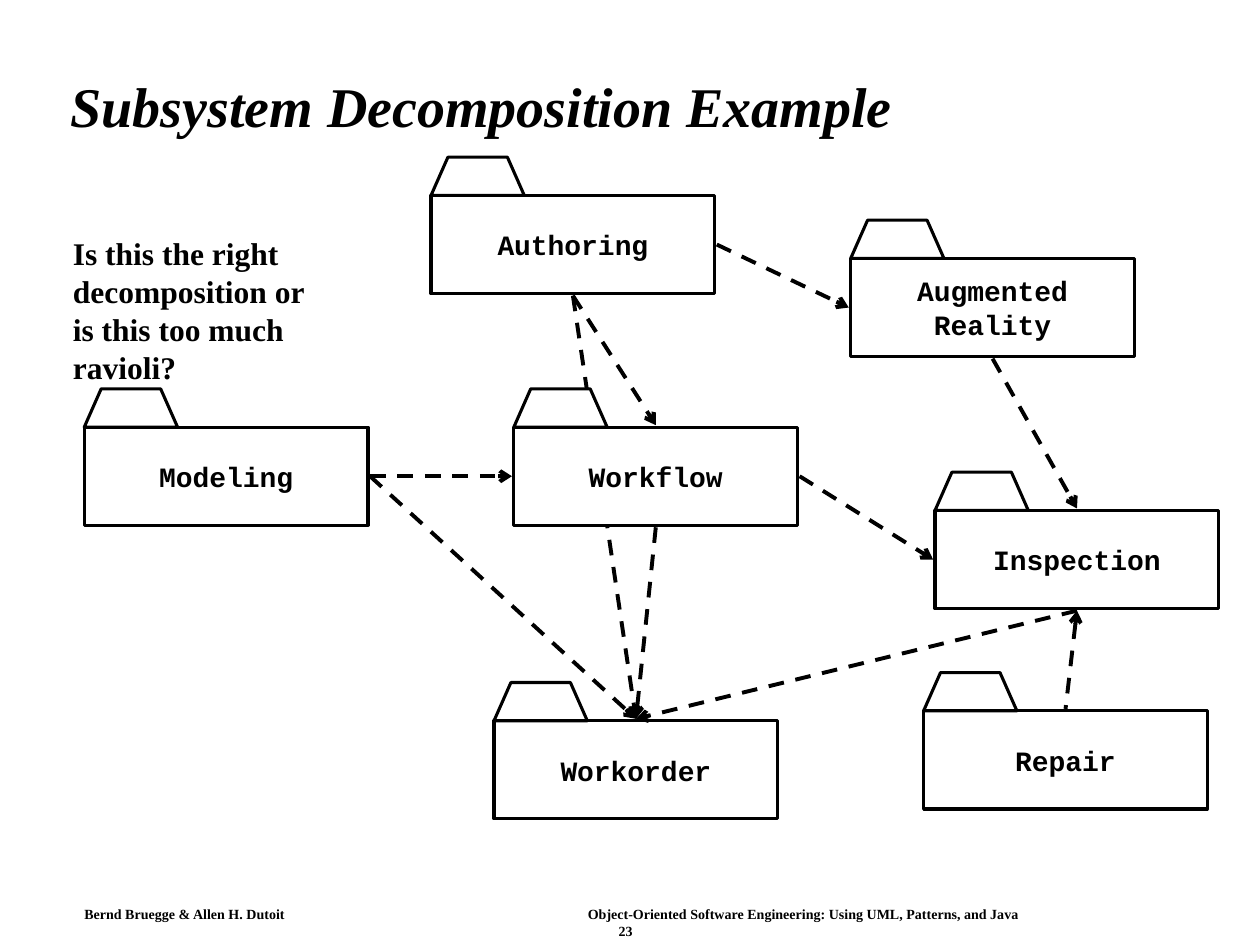
import lxml.etree
import pptx
import pptx.dml.color
import pptx.enum.dml
import pptx.enum.shapes
import pptx.enum.text
import pptx.oxml.ns
import pptx.util

Cm = pptx.util.Cm
Pt = pptx.util.Pt
qn = pptx.oxml.ns.qn
ALIGN = pptx.enum.text.PP_ALIGN
ANCHOR = pptx.enum.text.MSO_ANCHOR

COLORS = {"ink": "000000", "paper": "FFFFFF"}
SERIF, MONO = "Times New Roman", "Courier New"
PACKAGE_W, PACKAGE_H = 5.72, 1.98
TAB_W, TAB_H, TAB_SLOPE = 1.88, 0.77, 0.34
GAP = 0.04

PACKAGES = {
    "Modeling": (1.7, 8.61),
    "Authoring": (8.69, 3.94),
    "Workorder": (9.96, 14.53),
    "Repair": (18.62, 14.33),
    "Inspection": (18.85, 10.29),
    "Augmented\nReality": (17.15, 5.21),
    "Workflow": (10.36, 8.61),
}
DEPENDENCIES = [
    ("Authoring", "right", "Augmented\nReality", "left", "tailEnd"),
    ("Authoring", "bottom", "Workorder", "top", "tailEnd"),
    ("Workflow", "right", "Inspection", "left", "tailEnd"),
    ("Workflow", "bottom", "Workorder", "top", "tailEnd"),
    ("Authoring", "bottom", "Workflow", "top", "tailEnd"),
    ("Modeling", "right", "Workflow", "left", "tailEnd"),
    ("Modeling", "right", "Workorder", "top", "tailEnd"),
    ("Augmented\nReality", "bottom", "Inspection", "top", "tailEnd"),
    ("Inspection", "bottom", "Repair", "top", "headEnd"),
    ("Inspection", "bottom", "Workorder", "top", "tailEnd"),
]


def rgb(name):
    return pptx.dml.color.RGBColor.from_string(COLORS[name])


def style_text(tf, name, size, align=ALIGN.LEFT, italic=False):
    for p in tf.paragraphs:
        p.alignment = align
        p.font.name = name
        p.font.size = Pt(size)
        p.font.bold = True
        p.font.italic = italic
        p.font.color.rgb = rgb("ink")


def add_title(s, x, y, w, h):
    sp = s.shapes.title
    sp.left, sp.top, sp.width, sp.height = Cm(x), Cm(y), Cm(w), Cm(h)
    tf = sp.text_frame
    tf.text = "Subsystem Decomposition Example"
    tf.auto_size = pptx.enum.text.MSO_AUTO_SIZE.NONE
    tf.vertical_anchor = ANCHOR.MIDDLE
    tf.paragraphs[0].line_spacing = 0.9
    style_text(tf, SERIF, 32, italic=True)


def add_question(s, x, y, w, h):
    tf = s.shapes.add_textbox(Cm(x), Cm(y), Cm(w), Cm(h)).text_frame
    tf.text = "Is this the right\ndecomposition or\nis this too much ravioli?"
    style_text(tf, SERIF, 18)


def add_footer(s, x, y, w, h):
    tf = s.shapes.add_textbox(Cm(x), Cm(y), Cm(w), Cm(h)).text_frame
    tf.word_wrap = True
    tf.margin_left = tf.margin_right = Cm(0.2)
    tf.margin_top = tf.margin_bottom = Cm(0.1)
    tf.text = (
        "Bernd Bruegge & Allen H. Dutoit\t"
        "Object-Oriented Software Engineering: Using UML, Patterns, and Java\n\t23"
    )
    for p, stop in zip(tf.paragraphs, (10.15, 10.77)):
        tabs = lxml.etree.SubElement(p._p.get_or_add_pPr(), qn("a:tabLst"))
        lxml.etree.SubElement(tabs, qn("a:tab"), pos=str(Cm(stop)), algn="l")
    style_text(tf, SERIF, 8)


def anchor_point(name, side):
    x, y = PACKAGES[name]
    return {
        "left": (x - GAP, y + PACKAGE_H / 2),
        "right": (x + PACKAGE_W + GAP, y + PACKAGE_H / 2),
        "top": (x + PACKAGE_W / 2, y - GAP),
        "bottom": (x + PACKAGE_W / 2, y + PACKAGE_H + GAP),
    }[side]


def add_dependency(s, start, start_side, end, end_side, arrow_end):
    points = anchor_point(start, start_side) + anchor_point(end, end_side)
    cx = s.shapes.add_connector(
        pptx.enum.shapes.MSO_CONNECTOR.STRAIGHT, *(Cm(v) for v in points)
    )
    cx.line.color.rgb = rgb("ink")
    cx.line.width = Pt(2.25)
    cx.line.dash_style = pptx.enum.dml.MSO_LINE.DASH
    ln = cx.line._get_or_add_ln()
    lxml.etree.SubElement(ln, qn("a:" + arrow_end), type="arrow")
    lxml.etree.SubElement(cx._element.spPr, qn("a:effectLst"))


def add_package(s, name, x, y, w, h, filled):
    group = s.shapes.add_group_shape()
    body = group.shapes.add_shape(
        pptx.enum.shapes.MSO_SHAPE.RECTANGLE, Cm(x), Cm(y), Cm(w), Cm(h)
    )
    fb = group.shapes.build_freeform(Cm(x), Cm(y))
    fb.add_line_segments([
        (Cm(x + TAB_SLOPE), Cm(y - TAB_H)),
        (Cm(x + TAB_W - TAB_SLOPE), Cm(y - TAB_H)),
        (Cm(x + TAB_W), Cm(y)),
    ], close=True)
    for sp in (body, fb.convert_to_shape()):
        sp.shadow.inherit = False
        sp.line.color.rgb = rgb("ink")
        sp.line.width = Pt(1.75)
        if filled:
            sp.fill.solid()
            sp.fill.fore_color.rgb = rgb("paper")
        else:
            sp.fill.background()
    tf = body.text_frame
    tf.text = name
    tf.word_wrap = True
    tf.vertical_anchor = ANCHOR.MIDDLE
    style_text(tf, MONO, 16, ALIGN.CENTER)


def main():
    prs = pptx.Presentation()
    prs.slide_width, prs.slide_height = Cm(25.4), Cm(19.05)
    s = prs.slides.add_slide(prs.slide_layouts[5])
    add_footer(s, 1.5, 18.16, 21.97, 0.53)
    add_title(s, 1.17, 1.22, 23.39, 1.96)
    for dependency in DEPENDENCIES:
        add_dependency(s, *dependency)
    add_question(s, 1.22, 4.6, 6.99, 2.54)
    for name, (x, y) in PACKAGES.items():
        add_package(s, name, x, y, PACKAGE_W, PACKAGE_H, name == "Workflow")
    prs.save("out.pptx")


if __name__ == "__main__":
    main()
